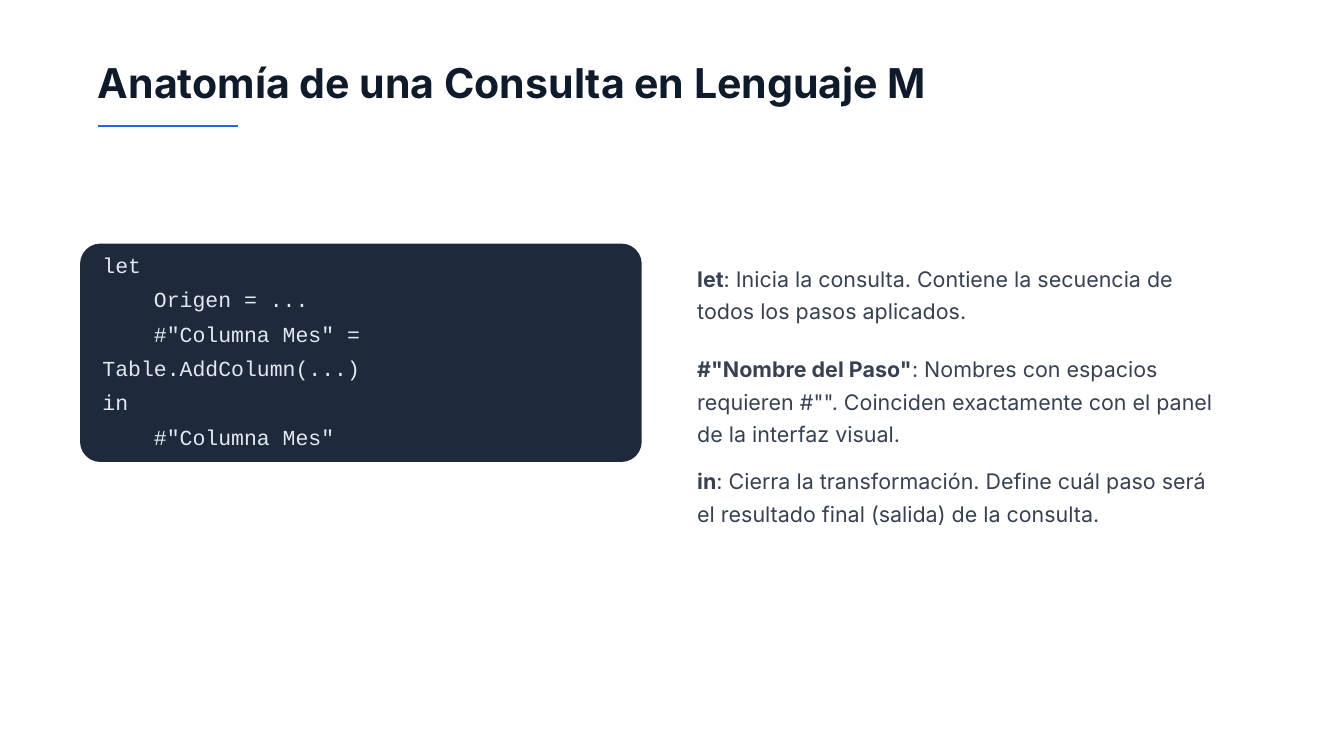
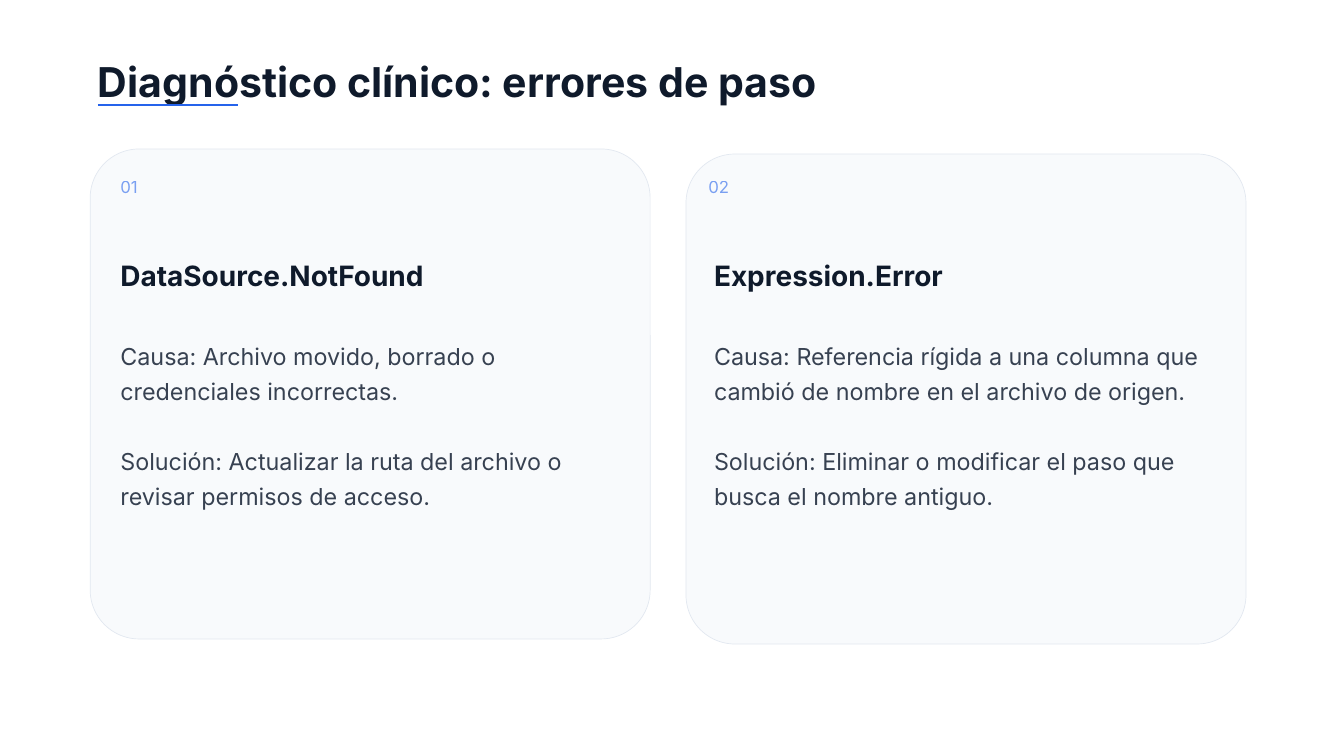
from lxml import etree
from pptx import Presentation
from pptx import util as u
from pptx.dml.color import RGBColor
from pptx.enum import shapes, text
from pptx.oxml.ns import qn

WIDE, HIGH = 20, 11.25
COLS, ROWS = 48, 27
INK = {
    "back": "FFFFFF", "title": "0F1A2B", "line": "2563EB", "body": "374151",
    "panel": "1E293B", "code": "E2E8F0", "card": "F8FAFC", "edge": "E2E8F0",
}
SANS, MONO = "Inter", "Courier New"

CODE = [
    "let",
    "    Origen = ...",
    '    #"Columna Mes" = Table.AddColumn(...)',
    "in",
    '    #"Columna Mes"',
]
TERMS = [
    (0, 2.2, "let", ": Inicia la consulta. Contiene la secuencia de todos los pasos aplicados."),
    (3.24, 3.3, '#"Nombre del Paso"', ': Nombres con espacios requieren #"". Coinciden '
     "exactamente con el panel de la interfaz visual."),
    (7.24, 2.2, "in", ": Cierra la transformación. Define cuál paso será el resultado final "
     "(salida) de la consulta."),
]
CARDS = [
    ((3.22, 5.32, 20, 17.5), (1.08, 1.08, 0.88), "01", "DataSource.NotFound",
     ["Causa: Archivo movido, borrado o credenciales incorrectas.",
      "Solución: Actualizar la ruta del archivo o revisar permisos de acceso."]),
    ((24.5, 5.5, 20, 17.5), (0.8, 1, 0.7), "02", "Expression.Error",
     ["Causa: Referencia rígida a una columna que cambió de nombre en el archivo de origen.",
      "Solución: Eliminar o modificar el paso que busca el nombre antiguo."]),
]


def tint(key):
    """Return a palette colour."""
    return RGBColor.from_string(INK[key])


def place(x, y, w, h):
    """Turn grid columns and rows into slide lengths."""
    return (u.Inches(x * WIDE / COLS), u.Inches(y * HIGH / ROWS),
            u.Inches(w * WIDE / COLS), u.Inches(h * HIGH / ROWS))


def write(slide, box, paras, size, lead, ink, font=SANS, gap=0):
    """Write paragraphs of (words, bold) runs and return the runs."""
    frame = slide.shapes.add_textbox(*place(*box)).text_frame
    frame.word_wrap = True
    frame.auto_size = text.MSO_AUTO_SIZE.SHAPE_TO_FIT_TEXT
    frame.margin_left = frame.margin_right = frame.margin_top = frame.margin_bottom = 0
    made = []
    for i, runs in enumerate(paras):
        para = frame.add_paragraph() if i else frame.paragraphs[0]
        para.line_spacing = u.Pt(lead)
        if i and gap:
            para.space_before = u.Pt(gap)
        for words, bold in runs:
            run = para.add_run()
            run.text = words
            run.font.name, run.font.size, run.font.bold = font, u.Pt(size), bold
            run.font.color.rgb = tint(ink)
            made.append(run)
    return made


def plate(slide, box, fill, bend, edge=None):
    """Draw a rounded plate with an optional thin edge."""
    form = slide.shapes.add_shape(shapes.MSO_SHAPE.ROUNDED_RECTANGLE, *place(*box))
    form.adjustments[0] = bend
    form.shadow.inherit = False
    form.fill.solid()
    form.fill.fore_color.rgb = tint(fill)
    if edge:
        form.line.color.rgb = tint(edge)
        form.line.width = u.Pt(0.75)
    else:
        form.line.fill.background()


def start(deck, title, top, rule):
    """Add a slide with its title and the short rule below."""
    slide = deck.slides.add_slide(deck.slide_layouts[6])
    slide.background.fill.solid()
    slide.background.fill.fore_color.rgb = tint("back")
    write(slide, (3.5, top, 41, 1.75), [[(title, True)]], 44, 52.8, "title")
    x, y, w, _ = place(3.5, rule, 5, 0)
    line = slide.shapes.add_connector(shapes.MSO_CONNECTOR.STRAIGHT, x, y, x + w, y)
    line.line.color.rgb = tint("line")
    line.line.width = u.Pt(2.25)
    etree.SubElement(line._element.spPr, qn("a:effectLst"))
    return slide


def code(slide, box):
    """Show the query on a dark panel."""
    x, y, w, h = box
    plate(slide, box, "panel", 0.093)
    write(slide, (x + 0.8, y, 18.5, h - 0.5), [[(row, False)] for row in CODE],
          23, 36.8, "code", MONO)


def terms(slide, box):
    """Explain each keyword of the query."""
    x, y, w, _ = box
    for drop, h, term, note in TERMS:
        write(slide, (x, y + drop, w, h), [[(term, True), (note, False)]], 23, 34.5, "body")


def card(slide, box, pads, tag, name, notes):
    """Draw one error card with its number, name and notes."""
    x, y, w, h = box
    left, inset, top = pads
    plate(slide, box, "card", 0.1, "edge")
    run, = write(slide, (x + left, y + top, 1.5, 0.8), [[(tag, False)]], 18, 25.2, "line")
    shade = run._r.find(".//" + qn("a:srgbClr"))
    etree.SubElement(shade, qn("a:alpha"), val="60000")
    write(slide, (x + inset, y + top + 2.95, 18.4, 1.3), [[(name, True)]], 30, 39, "title")
    write(slide, (x + inset, y + top + 5.78, 18.4, 6.07), [[(note, False)] for note in notes],
          25, 37.5, "body", gap=37.5)


def main():
    """Build and save both slides."""
    deck = Presentation()
    deck.slide_width, deck.slide_height = u.Inches(WIDE), u.Inches(HIGH)
    query = start(deck, "Anatomía de una Consulta en Lenguaje M", 2.06, 4.5)
    code(query, (2.86, 8.7, 20.06, 7.8))
    terms(query, (24.9, 9.26, 18.5, 9.44))
    faults = start(deck, "Diagnóstico clínico: errores de paso", 2, 3.75)
    for item in CARDS:
        card(faults, *item)
    deck.save("out.pptx")


if __name__ == "__main__":
    main()
